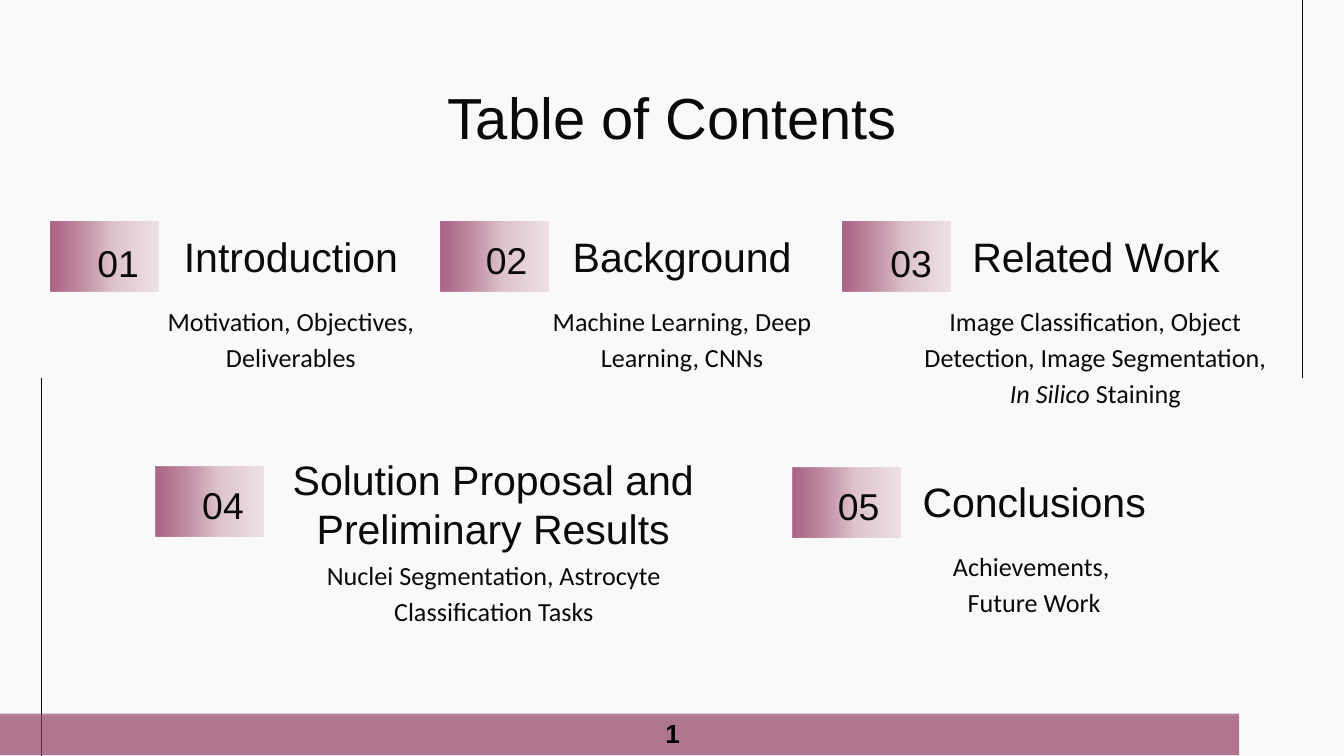
"""Build a table-of-contents slide with five numbered topics."""
import pptx
import pptx.util
import pptx.dml.color
import pptx.enum.shapes
import pptx.enum.text
import pptx.oxml
import pptx.oxml.ns
from lxml import etree

Inches, Pt = pptx.util.Inches, pptx.util.Pt
ANCHOR = pptx.enum.text.MSO_ANCHOR
INK, PLUM = "0A0A0A", "994269"
FADE = [(0, PLUM, 81), (57, "DEC3CC", 100), (100, "EEE2E6", 100)]
TILE_SIZE = (0.8, 0.52)
NUMBER_SIZE = (0.96, 1.26)
INDENT = 0.15

TITLE = "Table of Contents"
PAGE = "1"
TOPICS = [
    dict(number="01", tile=(0.38, 1.65), number_at=(0.4, 1.3),
         heading="Introduction", heading_at=(0.78, 1.62, 2.62, 0.57),
         body=[[("Motivation, Objectives, Deliverables", False)]],
         body_at=(0.78, 2.14, 2.62, 0.98)),
    dict(number="02", tile=(3.28, 1.65), number_at=(3.29, 1.28),
         heading="Background", heading_at=(3.69, 1.62, 2.62, 0.57),
         body=[[("Machine Learning, Deep Learning, CNNs", False)]],
         body_at=(3.69, 2.14, 2.62, 0.98)),
    dict(number="03", tile=(6.27, 1.65), number_at=(6.3, 1.3),
         heading="Related Work", heading_at=(6.77, 1.62, 2.62, 0.57),
         body=[[("Image Classification, Object Detection, Image Segmentation, ", False),
                ("In Silico ", True), ("Staining", False)]],
         body_at=(6.55, 2.14, 3.05, 0.98)),
    dict(number="04", tile=(1.16, 3.47), number_at=(1.18, 3.1),
         heading="Solution Proposal and Preliminary Results",
         heading_at=(1.59, 3.46, 4.01, 0.57),
         body=[[("Nuclei Segmentation, Astrocyte Classification Tasks", False)]],
         body_at=(2.15, 4.03, 2.9, 0.98)),
    dict(number="05", tile=(5.9, 3.48), number_at=(5.91, 3.11),
         heading="Conclusions", heading_at=(6.31, 3.44, 2.62, 0.57),
         body=[[("Achievements, ", False)], [("Future Work", False)]],
         body_at=(6.31, 3.96, 2.62, 0.98)),
]
RULES = [(0.31, 2.81, 5.63), (9.69, 0, 2.81)]


def color(value):
    return pptx.dml.color.RGBColor.from_string(value)


def add_rect(s, at, fill, alpha=100):
    sp = s.shapes.add_shape(pptx.enum.shapes.MSO_SHAPE.RECTANGLE, *map(Inches, at))
    sp.shadow.inherit = False
    sp.line.fill.background()
    sp.fill.solid()
    sp.fill.fore_color.rgb = color(fill)
    if alpha < 100:
        clr = sp._element.spPr.find(".//" + pptx.oxml.ns.qn("a:srgbClr"))
        etree.SubElement(clr, pptx.oxml.ns.qn("a:alpha"), val=str(alpha * 1000))
    return sp


def add_fade(sp, stops):
    marks = "".join(
        f'<a:gs pos="{pos * 1000}"><a:srgbClr val="{value}">'
        f'<a:alpha val="{alpha * 1000}"/></a:srgbClr></a:gs>'
        for pos, value, alpha in stops)
    grad = pptx.oxml.parse_xml(
        f'<a:gradFill {pptx.oxml.ns.nsdecls("a")}><a:gsLst>{marks}</a:gsLst>'
        '<a:lin ang="0" scaled="0"/></a:gradFill>')
    solid = sp._element.spPr.find(pptx.oxml.ns.qn("a:solidFill"))
    solid.getparent().replace(solid, grad)


def add_rule(s, x, top, bottom):
    line = s.shapes.add_connector(pptx.enum.shapes.MSO_CONNECTOR.STRAIGHT,
                                  *map(Inches, (x, top, x, bottom)))
    line.line.color.rgb = color(INK)
    line.line.width = Pt(0.75)
    etree.SubElement(line._element.spPr, pptx.oxml.ns.qn("a:effectLst"))


def add_text(s, at, paragraphs, size, name="Arial", ink=INK, bold=False,
             anchor=ANCHOR.TOP, spacing=None, indent=0, inset=0.1):
    tf = s.shapes.add_textbox(*map(Inches, at)).text_frame
    frame = dict(word_wrap=True, vertical_anchor=anchor, margin_left=Inches(0.1),
                 margin_right=Inches(0.1), margin_top=Inches(inset),
                 margin_bottom=Inches(inset))
    for key, value in frame.items():
        setattr(tf, key, value)
    for i, runs in enumerate(paragraphs):
        p = tf.add_paragraph() if i else tf.paragraphs[0]
        p.alignment = pptx.enum.text.PP_ALIGN.CENTER
        p.line_spacing = spacing
        if indent:
            p._p.get_or_add_pPr().set("marL", str(Inches(indent)))
        for text, italic in runs:
            r = p.add_run()
            r.text = text
            for key, value in dict(name=name, size=Pt(size), bold=bold, italic=italic).items():
                setattr(r.font, key, value)
            r.font.color.rgb = color(ink)


def plain(text):
    return [[(text, False)]]


def main():
    prs = pptx.Presentation()
    prs.slide_width = Inches(10)
    prs.slide_height = prs.slide_width * 9 // 16
    s = prs.slides.add_slide(prs.slide_layouts[6])
    s.background.fill.solid()
    s.background.fill.fore_color.rgb = color("F9F9F9")

    add_rect(s, (0, 5.33, 9.22, 0.29), "DDDDDD")
    for rule in RULES:
        add_rule(s, *rule)
    add_text(s, (0.78, 0.51, 8.44, 0.6), plain(TITLE), 31)

    for topic in TOPICS:
        add_text(s, topic["body_at"], topic["body"], 14, "Calibri",
                 spacing=1.15, indent=INDENT)
        add_text(s, topic["heading_at"], plain(topic["heading"]), 22,
                 anchor=ANCHOR.MIDDLE, indent=INDENT)
        add_fade(add_rect(s, topic["tile"] + TILE_SIZE, PLUM), FADE)
        add_text(s, topic["number_at"] + NUMBER_SIZE, plain(topic["number"]), 20,
                 anchor=ANCHOR.MIDDLE, spacing=1.15)

    add_rect(s, (0, 5.31, 9.22, 0.31), PLUM, alpha=66)
    add_text(s, (0, 5.29, 10.01, 0.34), plain(PAGE), 14, ink="000000",
             bold=True, inset=0.05)
    prs.save("out.pptx")


if __name__ == "__main__":
    main()
